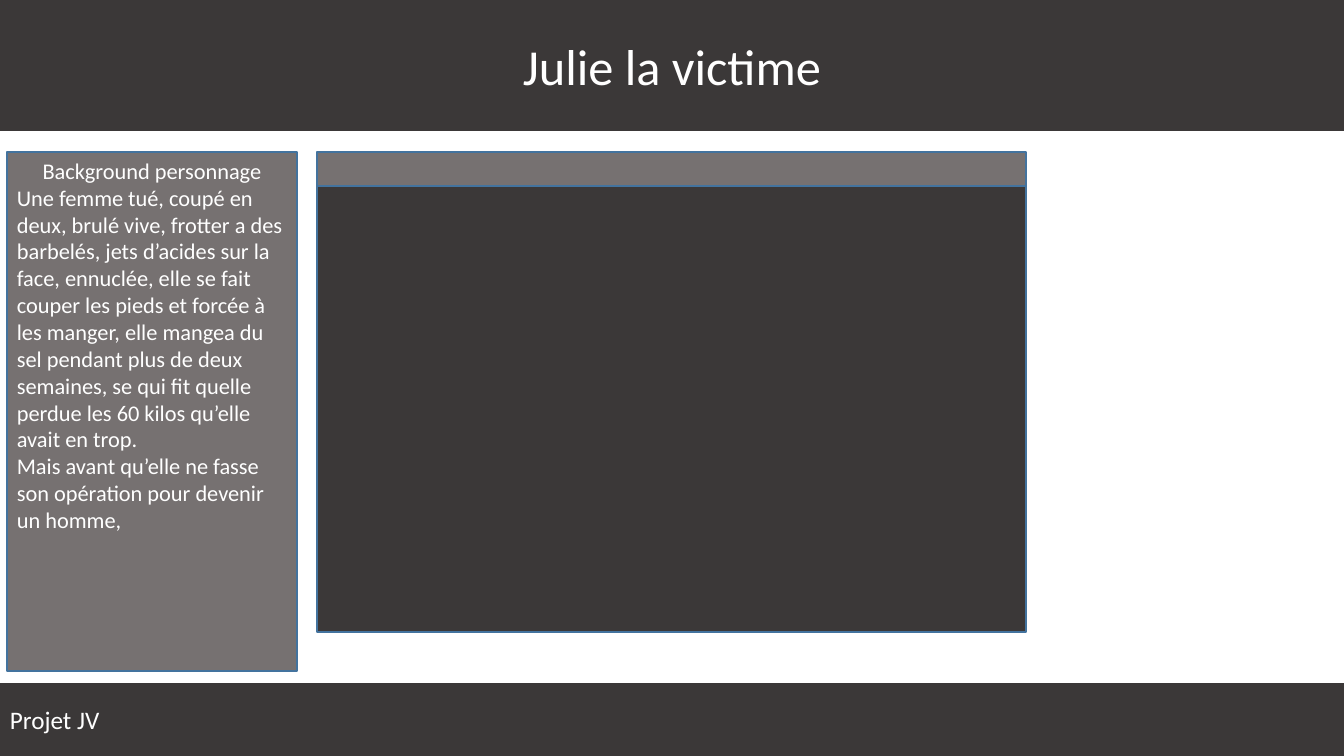
from pptx import Presentation
from pptx.dml.color import RGBColor
from pptx.enum.shapes import MSO_SHAPE
from pptx.enum.text import MSO_ANCHOR, MSO_AUTO_SIZE, PP_ALIGN
from pptx.util import Emu, Pt

CHARCOAL = RGBColor(0x3B, 0x38, 0x38)
GREY = RGBColor(0x76, 0x71, 0x71)
BLUE = RGBColor(0x43, 0x73, 0x9E)
WHITE = RGBColor(0xFF, 0xFF, 0xFF)

FONT = "Calibri"
PX_PER_INCH = 100.8
WIDTH, HEIGHT = 1344, 756


def px(length):
    return Emu(round(length * 914400 / PX_PER_INCH))


class CharacterPage:
    """Holds the style and the current slide."""

    def __init__(self, deck):
        self.page = deck.slides.add_slide(deck.slide_layouts[5])

    def title(self, left, top, width, height, text):
        box = self.page.shapes.title
        box.left, box.top, box.width, box.height = map(px, (left, top, width, height))
        box.fill.solid()
        box.fill.fore_color.rgb = CHARCOAL
        self.set_text(box, [text], 36, [PP_ALIGN.CENTER], MSO_ANCHOR.MIDDLE)

    def panel(self, left, top, width, height, fill, border=None):
        box = self.page.shapes.add_shape(
            MSO_SHAPE.RECTANGLE, *map(px, (left, top, width, height)))
        box.shadow.inherit = False
        box.fill.solid()
        box.fill.fore_color.rgb = fill
        if border is None:
            box.line.fill.background()
        else:
            box.line.color.rgb = border
            box.line.width = Pt(1)
        return box

    def set_text(self, box, texts, size, aligns, anchor):
        frame = box.text_frame
        frame.word_wrap = True
        frame.auto_size = MSO_AUTO_SIZE.NONE
        frame.vertical_anchor = anchor
        frame.text = "\n".join(texts)
        for para, align in zip(frame.paragraphs, aligns):
            para.alignment = align
            for span in para.runs:
                span.font.name = FONT
                span.font.size = Pt(size)
                span.font.color.rgb = WHITE


def main():
    deck = Presentation()
    deck.slide_width, deck.slide_height = px(WIDTH), px(HEIGHT)
    sheet = CharacterPage(deck)

    # Title band
    sheet.title(0, 0, WIDTH, 131, "Julie la victime")

    # Central frame with its header strip
    sheet.panel(317, 186, 709, 446, CHARCOAL, BLUE)
    sheet.panel(317, 152, 709, 34, GREY, BLUE)

    # Footer band
    footer = sheet.panel(0, 683, WIDTH, 73, CHARCOAL)
    sheet.set_text(footer, ["Projet JV"], 18, [PP_ALIGN.LEFT], MSO_ANCHOR.MIDDLE)

    # Character background card
    story = [
        "Background personnage",
        "Une femme tué, coupé en deux, brulé vive, frotter a des barbelés, "
        "jets d’acides sur la face, ennuclée, elle se fait couper les pieds "
        "et forcée à les manger, elle mangea du sel pendant plus de deux "
        "semaines, se qui fit quelle perdue les 60 kilos qu’elle avait en trop.",
        "Mais avant qu’elle ne fasse son opération pour devenir un homme,",
    ]
    card = sheet.panel(7, 152, 290, 519, GREY, BLUE)
    sheet.set_text(card, story, 16,
                   [PP_ALIGN.CENTER, PP_ALIGN.LEFT, PP_ALIGN.LEFT], MSO_ANCHOR.TOP)

    deck.save("out.pptx")


if __name__ == "__main__":
    main()
